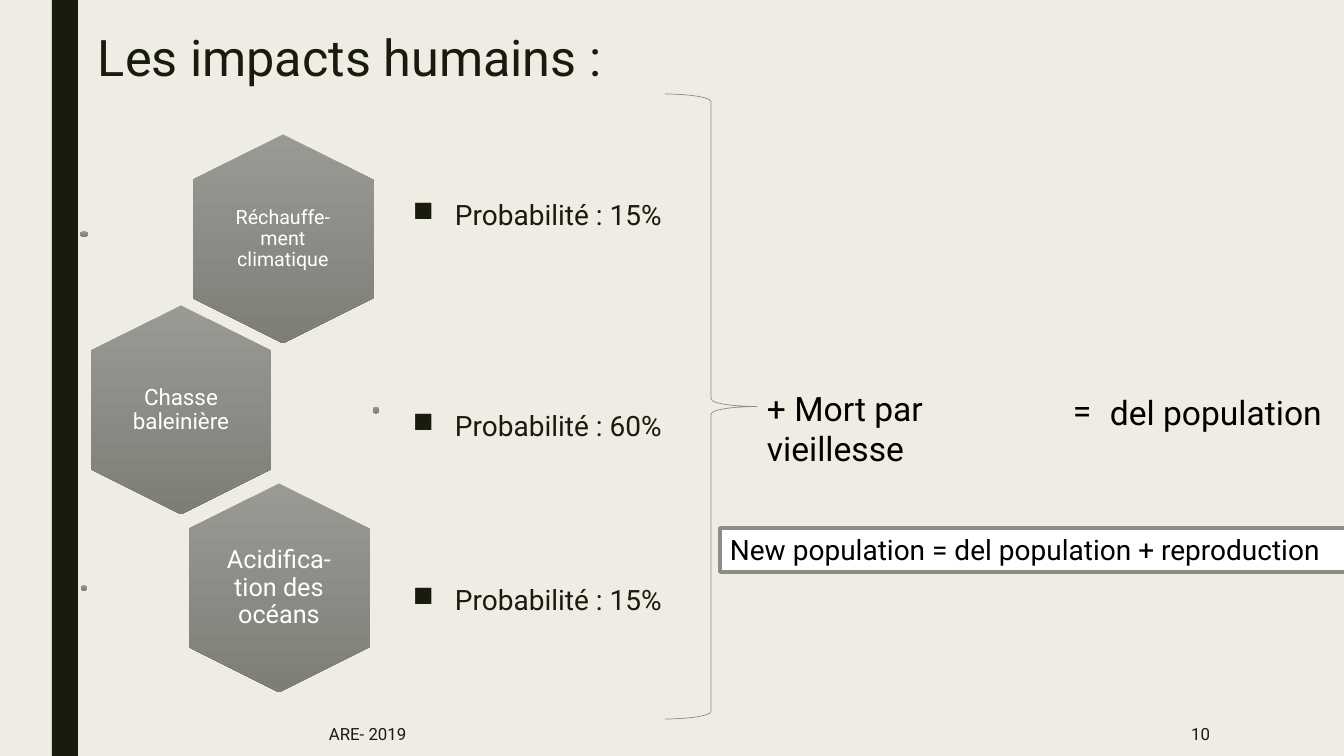
import pptx
import pptx.dml.color
import pptx.enum.shapes
import pptx.enum.text
import pptx.oxml
import pptx.oxml.ns
import pptx.util

SLIDE_WIDTH, SLIDE_HEIGHT = 1344, 756
PX = 12192000 / SLIDE_WIDTH
THEME = {
    "font": "Roboto",
    "background": "EFEDE3", "ink": "191B0E", "black": "000000", "white": "FFFFFF",
    "grey": "8C8D86", "grey_light": "999A94", "grey_dark": "7D7E76",
    "title": 36, "formula": 24, "body": 20, "footer": 12,
}
SHAPES = pptx.enum.shapes.MSO_SHAPE
ALIGN = pptx.enum.text.PP_ALIGN
ANCHOR = pptx.enum.text.MSO_ANCHOR


def color(name):
    return pptx.dml.color.RGBColor.from_string(THEME[name])


def write(shape, text, size, ink, align=ALIGN.LEFT, anchor=ANCHOR.TOP, wrap=True):
    """Set one styled paragraph in the shape and return it."""
    frame = shape.text_frame
    frame.word_wrap = wrap
    frame.vertical_anchor = anchor
    paragraph = frame.paragraphs[0]
    paragraph.text = text
    paragraph.alignment = align
    paragraph.font.name = THEME["font"]
    paragraph.font.size = pptx.util.Pt(size)
    paragraph.font.color.rgb = color(ink)
    return paragraph


presentation = pptx.Presentation()
presentation.slide_width = round(SLIDE_WIDTH * PX)
presentation.slide_height = round(SLIDE_HEIGHT * PX)
slide = presentation.slides.add_slide(presentation.slide_layouts[6])
slide.background.fill.solid()
slide.background.fill.fore_color.rgb = color("background")
shapes = slide.shapes

# Side band and title
band = shapes.add_shape(SHAPES.RECTANGLE, *[round(n * PX) for n in (52, 0, 26, SLIDE_HEIGHT)])
band.shadow.inherit = False
band.fill.solid()
band.fill.fore_color.rgb = color("ink")
band.line.fill.background()

title = shapes.add_textbox(*[round(n * PX) for n in (88, 28, 632, 128)])
write(title, "Les impacts humains :", THEME["title"], "ink").line_spacing = 0.89

# Hexagons and their small markers: centre x, centre y, length, breadth, rotation
HEXAGON_LENGTH, HEXAGON_BREADTH = 209, 181
impacts = [
    (283, 239, "Réchauffe-ment climatique", 14),
    (181, 410, "Chasse baleinière", 16),
    (279, 588, "Acidifica-tion des océans", 18),
]
hexagons = [(x, y, HEXAGON_LENGTH, HEXAGON_BREADTH, 90) for x, y, label, size in impacts]
hexagons += [(84, 234, 6, 8, 270), (376, 410, 7, 6, 270), (84, 588, 6, 6, 270)]
for x, y, length, breadth, rotation in hexagons:
    box = (x - length / 2, y - breadth / 2, length, breadth)
    hexagon = shapes.add_shape(SHAPES.HEXAGON, *[round(n * PX) for n in box])
    hexagon.shadow.inherit = False
    hexagon.rotation = rotation
    hexagon.line.fill.background()
    hexagon.fill.gradient()
    hexagon.fill.gradient_angle = 270
    for stop, shade in zip(hexagon.fill.gradient_stops, ("grey_light", "grey_dark")):
        stop.color.rgb = color(shade)
    gradient = hexagon._element.spPr.find(pptx.oxml.ns.qn("a:gradFill"))
    gradient.set("rotWithShape", "0")

LABEL_WIDTH, LABEL_HEIGHT, LABEL_MARGIN = 125, 143, 7
for x, y, text, size in impacts:
    box = (x - LABEL_WIDTH / 2, y - LABEL_HEIGHT / 2, LABEL_WIDTH, LABEL_HEIGHT)
    label = shapes.add_textbox(*[round(n * PX) for n in box])
    frame = label.text_frame
    frame.margin_left = frame.margin_right = round(LABEL_MARGIN * PX)
    frame.margin_top = frame.margin_bottom = round(LABEL_MARGIN * PX)
    write(label, text, size, "white", ALIGN.CENTER, ANCHOR.MIDDLE).line_spacing = 0.9

# Probabilities
BULLET_INDENT = round(42 * PX)
for top, percent in ((195, 15), (406, 60), (580, 15)):
    probability = shapes.add_textbox(*[round(n * PX) for n in (403, top, 490, 55)])
    paragraph = write(probability, f"Probabilité : {percent}%", THEME["body"], "ink")
    paragraph.line_spacing = 0.94
    paragraph.space_before = pptx.util.Pt(10)
    paragraph.space_after = pptx.util.Pt(2)
    properties = paragraph._p.get_or_add_pPr()
    properties.set("marL", str(BULLET_INDENT))
    properties.set("indent", str(-BULLET_INDENT))
    bullet = pptx.oxml.parse_xml(f'<a:buChar {pptx.oxml.ns.nsdecls("a")} char="■"/>')
    properties.insert_element_before(bullet, "a:tabLst", "a:defRPr", "a:extLst")

# Footer
for left, width, text, align in ((319, 692, "ARE- 2019", ALIGN.LEFT), (1044, 176, "10", ALIGN.RIGHT)):
    footer = shapes.add_textbox(*[round(n * PX) for n in (left, 712, width, 44)])
    write(footer, text, THEME["footer"], "ink", align, ANCHOR.MIDDLE)

# Brace and resulting formula
brace = shapes.add_shape(SHAPES.RIGHT_BRACE, *[round(n * PX) for n in (665, 94, 92, 625)])
brace.shadow.inherit = False
brace.fill.background()
brace.line.color.rgb = color("grey")
brace.line.width = pptx.util.Pt(0.5)

for left, top, width, text, wrap in (
    (757, 383, 318, "+ Mort par vieillesse", True),
    (1063, 385, 40, "=", False),
    (1100, 387, 234, "del population", False),
):
    term = shapes.add_textbox(*[round(n * PX) for n in (left, top, width, 50)])
    write(term, text, THEME["formula"], "black", wrap=wrap)

result = shapes.add_shape(SHAPES.RECTANGLE, *[round(n * PX) for n in (720, 528, 627, 44)])
result.shadow.inherit = False
result.fill.solid()
result.fill.fore_color.rgb = color("white")
result.line.color.rgb = color("grey")
result.line.width = pptx.util.Pt(2.75)
write(result, "New population = del population + reproduction", THEME["body"], "black")

presentation.save("out.pptx")
